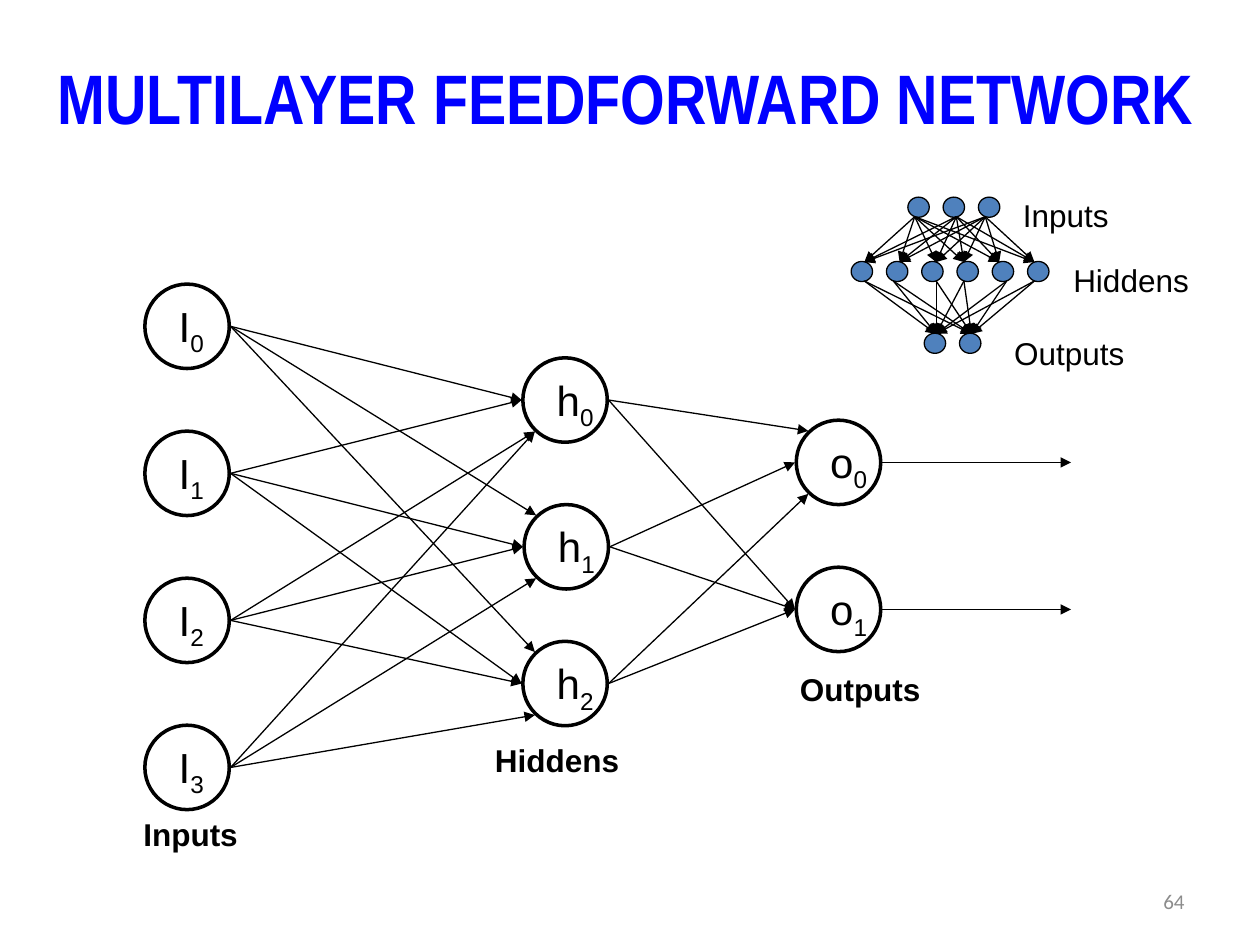
from typing import NamedTuple

from lxml.etree import SubElement
from pptx import Presentation
from pptx.dml.color import RGBColor
from pptx.enum.shapes import MSO_CONNECTOR, MSO_SHAPE
from pptx.enum.text import MSO_ANCHOR, MSO_AUTO_SIZE, PP_ALIGN
from pptx.oxml.ns import qn
from pptx.util import Inches, Pt

BLACK = RGBColor(0x00, 0x00, 0x00)
BLUE = RGBColor(0x00, 0x00, 0xFF)
STEEL = RGBColor(0x4F, 0x81, 0xBD)
GREY = RGBColor(0x8C, 0x8C, 0x8C)

# Grid of 100 columns by 75 rows
COLS, ROWS = 100, 75
CELL = Inches(10) // COLS

NODE_FONT = {"name": "Arial", "size": Pt(24)}
LABEL_FONT = {"name": "Arial", "size": Pt(18)}
BOLD_LABEL = {**LABEL_FONT, "bold": True}
TITLE_FONT = {"name": "Arial Narrow", "size": Pt(40), "bold": True}
NUMBER_FONT = {"name": "Calibri", "size": Pt(12)}

FIT = {"auto_size": MSO_AUTO_SIZE.SHAPE_TO_FIT_TEXT}
NO_WRAP = {"word_wrap": False, **FIT}
WRAP = {"word_wrap": True, **FIT}
MIDDLE = {"word_wrap": True, "vertical_anchor": MSO_ANCHOR.MIDDLE}

NODE = 6.7  # diameter of a large node
SITES = {"R": (3.45, 0), "L": (-3.45, 0), "T": (-2.4, -2.5), "B": (-2.4, 2.5)}


class Box(NamedTuple):
    col: float
    row: float
    width: float
    height: float


class Node(NamedTuple):
    letter: str
    index: int
    col: float  # centre
    row: float
    text_width: float

    def site(self, name: str) -> tuple[float, float]:
        dx, dy = SITES[name]
        return self.col + dx, self.row + dy


class Label(NamedTuple):
    text: str
    box: Box


def cells(*values: float) -> list[int]:
    return [round(v * CELL) for v in values]


def add_run(p, text: str, fmt: dict, color: RGBColor):
    r = p.add_run()
    r.text = text
    for key, value in fmt.items():
        setattr(r.font, key, value)
    r.font.color.rgb = color
    return r


def add_text(shapes, box: Box, text: str, fmt: dict, frame: dict,
             color: RGBColor = BLACK, align=PP_ALIGN.LEFT):
    tf = shapes.add_textbox(*cells(*box)).text_frame
    for key, value in frame.items():
        setattr(tf, key, value)
    p = tf.paragraphs[0]
    p.alignment = align
    add_run(p, text, fmt, color)
    return p


def add_ellipse(shapes, box: Box, weight: float, fill: RGBColor | None = None):
    sp = shapes.add_shape(MSO_SHAPE.OVAL, *cells(*box))
    sp.shadow.inherit = False
    if fill is None:
        sp.fill.background()
    else:
        sp.fill.solid()
        sp.fill.fore_color.rgb = fill
    sp.line.color.rgb = BLACK
    sp.line.width = Pt(weight)
    return sp


def add_arrow(shapes, start: tuple[float, float], end: tuple[float, float]) -> None:
    cx = shapes.add_connector(MSO_CONNECTOR.STRAIGHT, *cells(*start, *end))
    cx.line.color.rgb = BLACK
    cx.line.width = Pt(0.75)
    SubElement(cx.line._get_or_add_ln(), qn("a:tailEnd"), type="triangle")
    SubElement(cx._element.spPr, qn("a:effectLst"))


def add_node(shapes, node: Node) -> None:
    left, top = node.col - NODE / 2, node.row - NODE / 2
    p = add_text(shapes, Box(left + 1.7, top + 0.8, node.text_width, 5),
                 node.letter, NODE_FONT, NO_WRAP)
    sub = add_run(p, str(node.index), NODE_FONT, BLACK)
    sub._r.get_or_add_rPr().set("baseline", "-25000")
    add_ellipse(shapes, Box(left, top, NODE, NODE), 2)


def add_fan(shapes, starts: list[float], ends: list[float],
            top: float, bottom: float) -> None:
    for start in starts:
        for end in ends:
            add_arrow(shapes, (start, top), (end, bottom))


def add_links(shapes, sources: list[Node], targets: list[Node],
              sites: list[str]) -> None:
    """Each word in sites names, per source, where its arrow meets the target."""
    for target, word in zip(targets, sites):
        for source, site in zip(sources, word):
            add_arrow(shapes, source.site("R"), target.site(site))


def main() -> None:
    prs = Presentation()
    prs.slide_width, prs.slide_height = CELL * COLS, CELL * ROWS
    s = prs.slides.add_slide(prs.slide_layouts[6])

    # Slide number and title
    add_text(s.shapes, Box(71.7, 69.5, 23.3, 4), "64", NUMBER_FONT, MIDDLE,
             GREY, PP_ALIGN.RIGHT)
    add_text(s.shapes, Box(2.4, 3.8, 94.5, 7.7), "MULTILAYER FEEDFORWARD NETWORK",
             TITLE_FONT, NO_WRAP, BLUE, PP_ALIGN.CENTER)

    # Small overview network: first column, row and size of each layer
    mini = s.shapes.add_group_shape().shapes
    for left, top, count in [(72.1, 15.6, 3), (67.6, 20.7, 6), (73.4, 26.4, 2)]:
        for i in range(count):
            dot = add_ellipse(mini, Box(left + 2.8 * i, top, 1.6, 1.7), 0.75, STEEL)
            dot.rotation = 90
    add_fan(mini, [72.6, 75.9, 78.2], [68.6, 71.4, 74.3, 76.5, 79.3, 82.1], 17.2, 20.8)
    add_fan(mini, [68.6, 70.9, 74.3, 76.5, 79.9, 82.1], [74.3, 77.1], 22.3, 26.5)
    for label in [
        Label("Inputs", Box(80.2, 15.1, 8.9, 4)),
        Label("Hiddens", Box(84.2, 20.2, 11.3, 4)),
        Label("Outputs", Box(79.5, 26, 10.9, 4)),
    ]:
        add_text(mini, label.box, label.text, LABEL_FONT, NO_WRAP)

    # Large network
    net = s.shapes.add_group_shape().shapes
    pitch = 11.67
    inputs = [Node("I", i, 14.85, 25.9 + pitch * i, 4.2) for i in range(4)]
    hiddens = [Node("h", i, col, row, 5.1) for i, (col, row) in
               enumerate([(44.85, 31.75), (44.95, 43.4), (44.85, 54.25)])]
    outputs = [Node("o", i, 66.55, 36.7 + pitch * i, 5.1) for i in range(2)]
    for node in inputs + hiddens + outputs:
        add_node(net, node)
    add_links(net, inputs, hiddens, ["LLBB", "TLLB", "TLLB"])
    add_links(net, hiddens, outputs, ["TLB", "LLL"])
    for node in outputs:
        col, row = node.site("R")
        add_arrow(net, (col, row), (col + 15, row))

    # Layer names
    for label in [
        Label("Inputs", Box(10.4, 64.2, 16.7, 4)),
        Label("Hiddens", Box(38.3, 58.3, 16.7, 4)),
        Label("Outputs", Box(62.5, 52.7, 16.7, 4)),
    ]:
        add_text(s.shapes, label.box, label.text, BOLD_LABEL, WRAP)

    prs.save("out.pptx")


if __name__ == "__main__":
    main()
